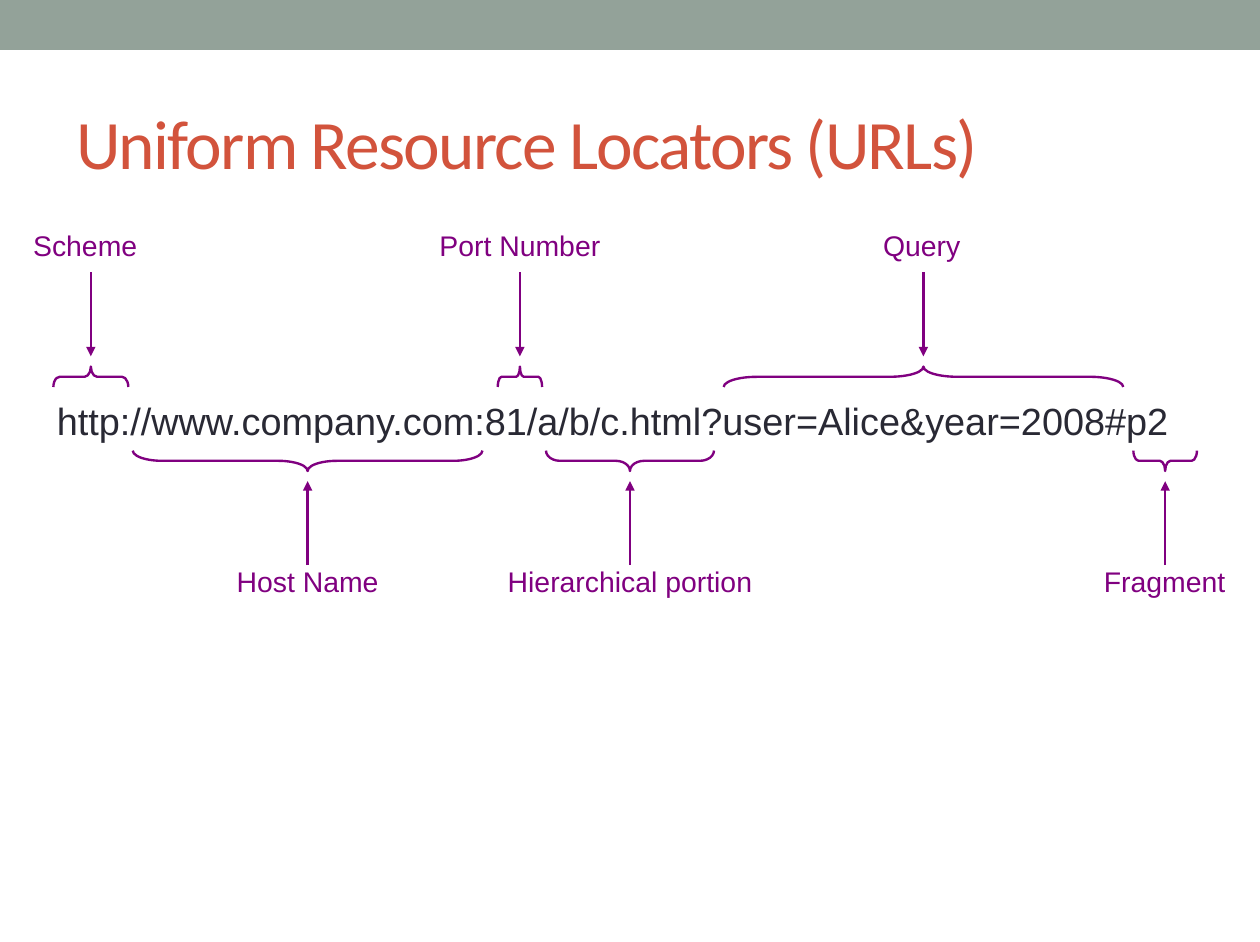
"""Build a slide that names the parts of a URL with braces and arrows."""
import lxml.etree
import pptx
import pptx.dml.color
import pptx.enum.shapes
import pptx.enum.text
import pptx.oxml
import pptx.oxml.ns
import pptx.util

COLORS = {"bar": "93A299", "title": "D2533C", "url": "292934", "callout": "800080"}
COLUMNS, ROWS = 111, 83
CELL = pptx.util.Inches(0.1)
BRACE_DEPTH = 1.8


def cells(*counts):
    """Turn counts of grid cells into lengths."""
    return [round(count * CELL) for count in counts]


def write(shape, text, size, font_name, color, alignment, anchor, wrap):
    """Fill a shape with one formatted paragraph and return its run."""
    frame = shape.text_frame
    margins = {"margin_left": 0.11, "margin_right": 0.11, "margin_top": 0.06, "margin_bottom": 0.06}
    for name, inches in margins.items():
        setattr(frame, name, pptx.util.Inches(inches))
    for name, value in {"word_wrap": wrap, "vertical_anchor": anchor}.items():
        setattr(frame, name, value)
    paragraph = frame.paragraphs[0]
    paragraph.alignment = alignment
    run = paragraph.add_run()
    run.text = text
    for name, value in {"name": font_name, "size": pptx.util.Pt(size)}.items():
        setattr(run.font, name, value)
    run.font.color.rgb = pptx.dml.color.RGBColor.from_string(COLORS[color])
    return run


ALIGN = pptx.enum.text.PP_ALIGN
ANCHOR = pptx.enum.text.MSO_ANCHOR
SHAPE = pptx.enum.shapes.MSO_SHAPE
callout_color = pptx.dml.color.RGBColor.from_string(COLORS["callout"])

presentation = pptx.Presentation()
presentation.slide_width, presentation.slide_height = cells(COLUMNS, ROWS)
slide = presentation.slides.add_slide(presentation.slide_layouts[5])

bar = slide.shapes.add_shape(SHAPE.RECTANGLE, *cells(0, 0, COLUMNS, 4.4))
bar.shadow.inherit = False
bar.fill.solid()
bar.fill.fore_color.rgb = pptx.dml.color.RGBColor.from_string(COLORS["bar"])
bar.line.fill.background()

title = slide.shapes.title
title.left, title.top, title.width, title.height = cells(5.6, 6.5, 99.9, 12)
title_run = write(title, "Uniform Resource Locators (URLs)", 44, "Calibri", "title",
                  ALIGN.LEFT, ANCHOR.MIDDLE, True)
title_run.font._element.set("spc", "-110")

url = slide.shapes.add_textbox(*cells(3.9, 34.4, 102.5, 5.2))
write(url, "http://www.company.com:81/a/b/c.html?user=Alice&year=2008#p2", 24, "Arial", "url",
      ALIGN.LEFT, ANCHOR.TOP, False)

sides = {
    "above": {"label_top": 19.5, "arrow": (24, 31.4), "brace_middle": 33.2, "rotation": 90},
    "below": {"label_top": 49.1, "arrow": (49.8, 42.4), "brace_middle": 40.6, "rotation": 270},
}
url_parts = [
    ("Scheme", "above", 8, 6.6, 7.5, 11.5),
    ("Host Name", "below", 27.1, 30.8, 27.1, 14.9),
    ("Port Number", "above", 45.8, 3.9, 45.8, 16.5),
    ("Hierarchical portion", "below", 55.5, 14.8, 55.5, 24),
    ("Query", "above", 81.35, 35.2, 81.2, 9.1),
    ("Fragment", "below", 102.65, 5.6, 102.6, 13),
]
for name, side_name, center, brace_length, label_center, label_width in url_parts:
    side = sides[side_name]

    brace = slide.shapes.add_shape(SHAPE.LEFT_BRACE, *cells(
        center - BRACE_DEPTH / 2, side["brace_middle"] - brace_length / 2, BRACE_DEPTH, brace_length))
    brace.rotation = side["rotation"]
    brace.adjustments[0] = brace_length / 12 / BRACE_DEPTH
    brace.shadow.inherit = False
    brace.fill.background()

    start, end = side["arrow"]
    arrow = slide.shapes.add_connector(
        pptx.enum.shapes.MSO_CONNECTOR.STRAIGHT, *cells(center, start, center, end))
    for shape in (brace, arrow):
        shape.line.color.rgb = callout_color
        shape.line.width = pptx.util.Pt(1.5)
    head = lxml.etree.SubElement(arrow.line._get_or_add_ln(), pptx.oxml.ns.qn("a:tailEnd"))
    head.set("type", "triangle")
    lxml.etree.SubElement(arrow._element.spPr, pptx.oxml.ns.qn("a:effectLst"))

    label = slide.shapes.add_textbox(*cells(
        label_center - label_width / 2, side["label_top"], label_width, 4.1))
    write(label, name, 18, "Arial", "callout", ALIGN.CENTER, ANCHOR.TOP, False)

presentation.save("out.pptx")
